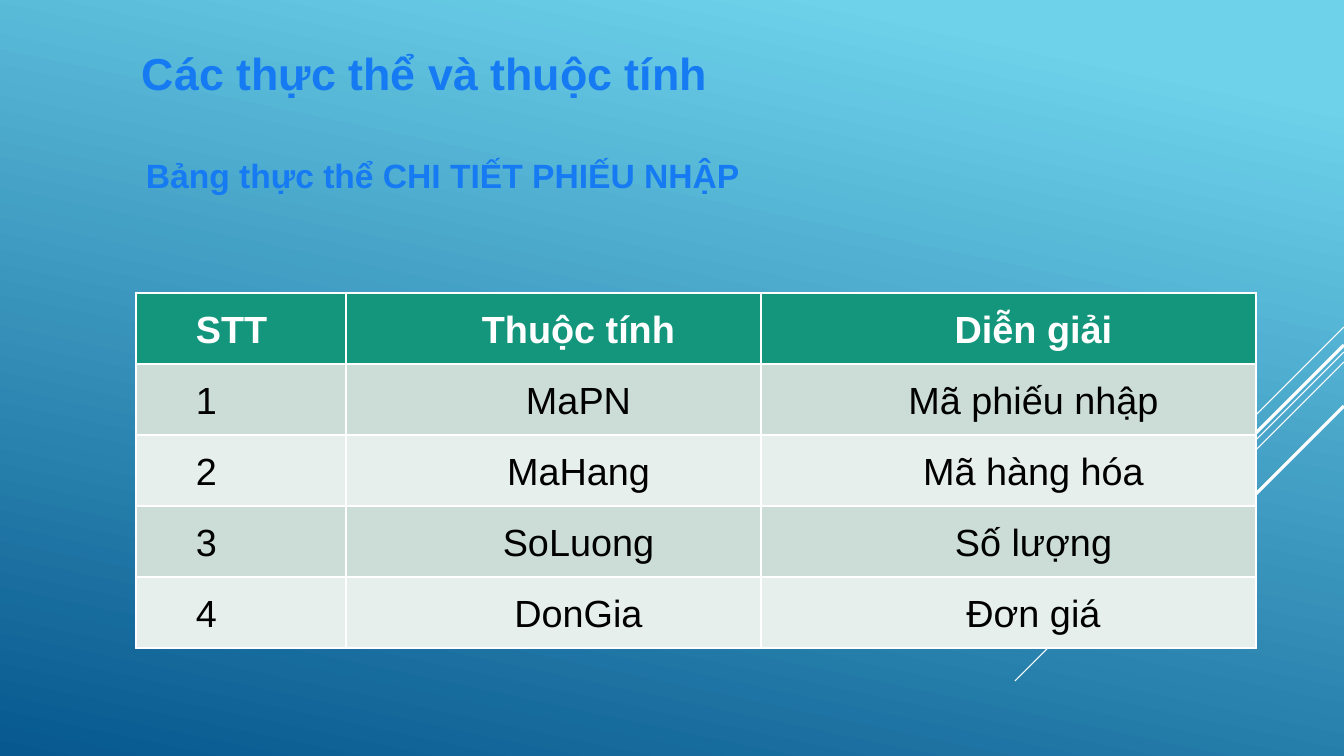
import pptx
import pptx.util
import pptx.dml.color
import pptx.enum.shapes
import pptx.enum.text
import pptx.oxml
import pptx.oxml.ns

THEME = {
    "sky": "6ED2EB", "deep": "06588E", "white": "FFFFFF", "black": "000000",
    "heading": "167BF3", "header": "14967C", "bands": ["CCDDD7", "E7EFEC"],
    "font": "Arial", "title_size": 32, "subtitle_size": 24, "table_size": 27,
}
NAMESPACE = pptx.oxml.ns.nsdecls("a")
PIXEL = 914400 / 100.8


def px(pixels):
    return pptx.util.Emu(round(pixels * PIXEL))


def add_run(paragraph, text, size, color, bold):
    run = paragraph.add_run()
    run.text = text
    run.font.size = pptx.util.Pt(size)
    run.font.bold = bold
    run.font.color.rgb = pptx.dml.color.RGBColor.from_string(color)
    run.font.name = THEME["font"]
    return run


presentation = pptx.Presentation()
presentation.slide_width = px(1344)
presentation.slide_height = px(756)
slide = presentation.slides.add_slide(presentation.slide_layouts[6])

# Background gradient
background = slide.background.fill
background.gradient()
background.gradient_angle = 258
for stop, position, color in zip(background.gradient_stops, (0.1, 1), ("sky", "deep")):
    stop.position = position
    stop.color.rgb = pptx.dml.color.RGBColor.from_string(THEME[color])

# Diagonal lines from the right edge: start height, run, width
for top, run_length, width in [(327, 101, 0.75), (352, 329, 0.75), (362, 209, 0.75),
                               (345, 193, 2.25), (406, 140, 2.25)]:
    line = slide.shapes.add_connector(
        pptx.enum.shapes.MSO_CONNECTOR.STRAIGHT,
        px(1344), px(top), px(1344 - run_length), px(top + run_length))
    line.line.color.rgb = pptx.dml.color.RGBColor.from_string(THEME["white"])
    line.line.width = pptx.util.Pt(width)
    line._element.spPr.append(pptx.oxml.parse_xml(f"<a:effectLst {NAMESPACE}/>"))

# Attribute table
rows = [
    ("STT", "Thuộc tính", "Diễn giải"),
    ("1", "MaPN", "Mã phiếu nhập"),
    ("2", "MaHang", "Mã hàng hóa"),
    ("3", "SoLuong", "Số lượng"),
    ("4", "DonGia", "Đơn giá"),
]
column_widths = [210, 415, 495]
row_height = 71
table = slide.shapes.add_table(
    len(rows), len(column_widths), px(136), px(293),
    px(sum(column_widths)), px(row_height * len(rows))).table
for column, width in zip(table.columns, column_widths):
    column.width = px(width)
for row_index, texts in enumerate(rows):
    table.rows[row_index].height = px(row_height)
    is_header = row_index == 0
    fill = THEME["header"] if is_header else THEME["bands"][(row_index - 1) % 2]
    for column_index, text in enumerate(texts):
        cell = table.cell(row_index, column_index)
        cell.margin_left = cell.margin_right = px(10)
        cell.margin_top = cell.margin_bottom = 0
        cell.vertical_anchor = pptx.enum.text.MSO_ANCHOR.MIDDLE
        properties = cell._tc.get_or_add_tcPr()
        for side in ("lnL", "lnR", "lnT", "lnB"):
            properties.append(pptx.oxml.parse_xml(
                f'<a:{side} {NAMESPACE} w="12700"><a:solidFill>'
                f'<a:srgbClr val="{THEME["white"]}"/></a:solidFill></a:{side}>'))
        cell.fill.solid()
        cell.fill.fore_color.rgb = pptx.dml.color.RGBColor.from_string(fill)
        paragraph = cell.text_frame.paragraphs[0]
        paragraph.line_spacing = 1.07
        paragraph._p.get_or_add_pPr().set("marL", str(px(50)))
        if column_index > 0:
            paragraph.alignment = pptx.enum.text.PP_ALIGN.CENTER
        if column_index == 2:
            paragraph.space_after = pptx.util.Pt(8)
        add_run(paragraph, text, THEME["table_size"],
                THEME["white" if is_header else "black"], is_header)

# Headings with a light text shadow
for text, left, top, height, size in [
        ("Các thực thể và thuộc tính", 132, 41, 65, THEME["title_size"]),
        ("Bảng thực thể CHI TIẾT PHIẾU NHẬP", 136, 150, 50, THEME["subtitle_size"])]:
    heading = slide.shapes.add_textbox(px(left), px(top), px(673), px(height))
    heading.text_frame.word_wrap = True
    heading.text_frame.auto_size = pptx.enum.text.MSO_AUTO_SIZE.SHAPE_TO_FIT_TEXT
    run = add_run(heading.text_frame.paragraphs[0], text, size, THEME["heading"], True)
    run_properties = run._r.get_or_add_rPr()
    run_properties.insert(1, pptx.oxml.parse_xml(
        f'<a:effectLst {NAMESPACE}><a:outerShdw blurRad="12700" dist="25400" dir="2700000">'
        f'<a:srgbClr val="{THEME["white"]}"/></a:outerShdw></a:effectLst>'))

presentation.save("out.pptx")
